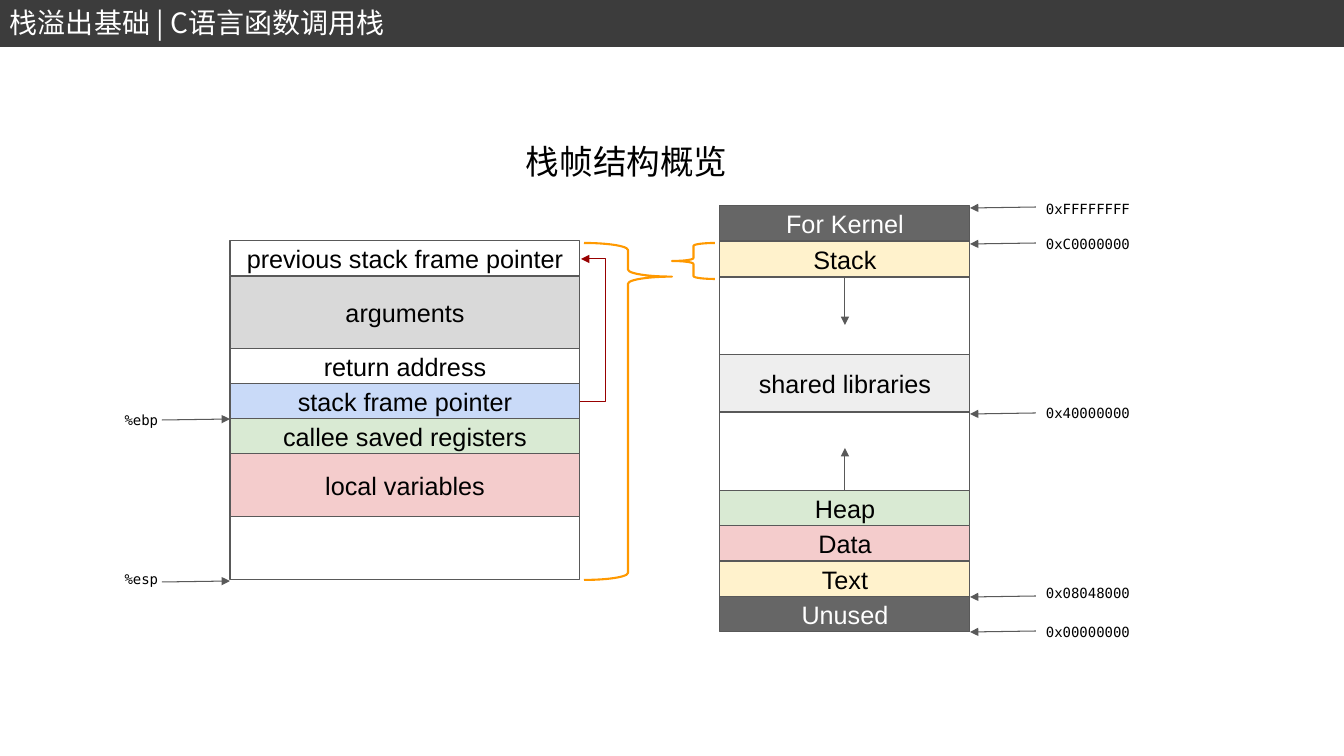
from pptx import Presentation
from pptx.dml.color import RGBColor
from pptx.enum.shapes import MSO_CONNECTOR, MSO_SHAPE
from pptx.enum.text import MSO_ANCHOR, PP_ALIGN
from pptx.oxml.ns import qn
from pptx.util import Pt
from lxml import etree

PX = 914400 / 100.8  # EMU per pixel
STRAIGHT, ELBOW = MSO_CONNECTOR.STRAIGHT, MSO_CONNECTOR.ELBOW
LEFT, CENTER, RIGHT = PP_ALIGN.LEFT, PP_ALIGN.CENTER, PP_ALIGN.RIGHT
SANS, MONO, CJK = "Arial", "DejaVu Sans Mono", "Noto Sans CJK SC"

BLACK = RGBColor(0x00, 0x00, 0x00)
WHITE = RGBColor(0xFF, 0xFF, 0xFF)
CHARCOAL = RGBColor(0x3C, 0x3C, 0x3C)
OUTLINE = RGBColor(0x59, 0x59, 0x59)
DARK_GRAY = RGBColor(0x66, 0x66, 0x66)
GRAY = RGBColor(0xD9, 0xD9, 0xD9)
LIGHT_GRAY = RGBColor(0xEE, 0xEE, 0xEE)
YELLOW = RGBColor(0xFF, 0xF2, 0xCC)
GREEN = RGBColor(0xD9, 0xEA, 0xD3)
PINK = RGBColor(0xF4, 0xCC, 0xCC)
BLUE = RGBColor(0xC9, 0xDA, 0xF8)
ORANGE = RGBColor(0xFF, 0x99, 0x00)
DARK_RED = RGBColor(0x98, 0x00, 0x00)

deck = Presentation()
deck.slide_width, deck.slide_height = round(1344 * PX), round(756 * PX)
page = deck.slides.add_slide(deck.slide_layouts[6])


def write(box, text, font, size, color, align=LEFT, wrap=True):
    frame = box.text_frame
    frame.word_wrap = wrap
    frame.vertical_anchor = MSO_ANCHOR.MIDDLE
    para = frame.paragraphs[0]
    para.text = text
    para.alignment = align
    para.font.name = font
    para.font.size = Pt(size)
    para.font.color.rgb = color
    if font == CJK:
        defaults = para._p.pPr.find(qn("a:defRPr"))
        etree.SubElement(defaults, qn("a:ea")).set("typeface", font)


def arrow(kind, color, *ends):
    line = page.shapes.add_connector(kind, *[round(end * PX) for end in ends])
    line.line.color.rgb = color
    line.line.width = Pt(0.75)
    etree.SubElement(line.line._get_or_add_ln(), qn("a:tailEnd")).set("type", "triangle")
    etree.SubElement(line._element.spPr, qn("a:effectLst"))
    return line


# Title bar
bar = page.shapes.add_shape(MSO_SHAPE.RECTANGLE, 0, round(PX), deck.slide_width, round(45 * PX))
bar.shadow.inherit = False
bar.fill.solid()
bar.fill.fore_color.rgb = CHARCOAL
bar.line.color.rgb = CHARCOAL
bar.line.width = Pt(2)

# Stack frame and process memory: each block is (text, fill, bottom edge)
FRAME_BLOCKS = [
    ("previous stack frame pointer", WHITE, 276),
    ("arguments", GRAY, 349),
    ("return address", WHITE, 384),
    ("stack frame pointer", BLUE, 419),
    ("callee saved registers", GREEN, 454),
    ("local variables", PINK, 517),
    ("", WHITE, 580),
]
MEMORY_BLOCKS = [
    ("For Kernel", DARK_GRAY, 241),
    ("Stack", YELLOW, 277),
    ("", WHITE, 355),
    ("shared libraries", LIGHT_GRAY, 412),
    ("", WHITE, 491),
    ("Heap", GREEN, 526),
    ("Data", PINK, 561),
    ("Text", YELLOW, 597),
    ("Unused", DARK_GRAY, 632),
]
blocks = {}
for left, top, width, column in [(230, 241, 350, FRAME_BLOCKS), (720, 206, 250, MEMORY_BLOCKS)]:
    for text, fill, bottom in column:
        block = page.shapes.add_shape(
            MSO_SHAPE.RECTANGLE, round(left * PX), round(top * PX),
            round(width * PX), round((bottom - top) * PX))
        block.shadow.inherit = False
        block.fill.solid()
        block.fill.fore_color.rgb = fill
        block.line.color.rgb = OUTLINE
        block.line.width = Pt(0.75)
        if text:
            write(block, text, SANS, 18, WHITE if fill == DARK_GRAY else BLACK, CENTER)
            blocks[text] = block
        top = bottom

# Growth directions of stack and heap
arrow(STRAIGHT, OUTLINE, 845, 277, 845, 325).begin_connect(blocks["Stack"], 2)
arrow(STRAIGHT, OUTLINE, 845, 491, 845, 448).begin_connect(blocks["Heap"], 0)

# Saved frame pointer refers to the previous one
saved_link = arrow(ELBOW, DARK_RED, 580, 402, 581, 259)
guide = etree.SubElement(saved_link._element.spPr.prstGeom.get_or_add_avLst(), qn("a:gd"))
guide.set("name", "adj1")
guide.set("fmla", "val 2600000")

# Braces linking the stack segment to its frame
for shape, left, top, width, height, point in [
    (MSO_SHAPE.LEFT_BRACE, 672, 243, 43, 36, 0.5),
    (MSO_SHAPE.RIGHT_BRACE, 584, 243, 88, 337, 0.1),
]:
    brace = page.shapes.add_shape(shape, *[round(n * PX) for n in (left, top, width, height)])
    brace.adjustments[0], brace.adjustments[1] = 0.08, point
    brace.shadow.inherit = False
    brace.fill.background()
    brace.line.color.rgb = ORANGE
    brace.line.width = Pt(1.5)

# Pointers: text, label left, top, width, alignment, arrow start x, end x, end y, rise
ADDRESSES = [("0xFFFFFFFF", 191, 208), ("0xC0000000", 226, 244), ("0x40000000", 395, 414),
             ("0x08048000", 575, 597), ("0x00000000", 614, 632)]
REGISTERS = [("%ebp", 402, 419), ("%esp", 561, 581)]
pointers = [(*row, 1036, 192, LEFT, 1036, 970, -1) for row in ADDRESSES]
pointers += [(*row, 80, 88, RIGHT, 162, 230, 1) for row in REGISTERS]
for text, top, tip, left, width, align, start, end, rise in pointers:
    label = page.shapes.add_textbox(*[round(n * PX) for n in (left, top, width, 35)])
    write(label, text, MONO, 10, BLACK, align)
    arrow(STRAIGHT, OUTLINE, start, tip + rise, end, tip)

# Headings
for text, left, top, width, height, size, color, wrap in [
    ("栈帧结构概览", 516, 136, 224, 50, 24, BLACK, False),
    ("栈溢出基础 | C语言函数调用栈", 0, 0, 622, 44, 20, WHITE, True),
]:
    heading = page.shapes.add_textbox(*[round(n * PX) for n in (left, top, width, height)])
    write(heading, text, CJK, size, color, wrap=wrap)

deck.save("out.pptx")
